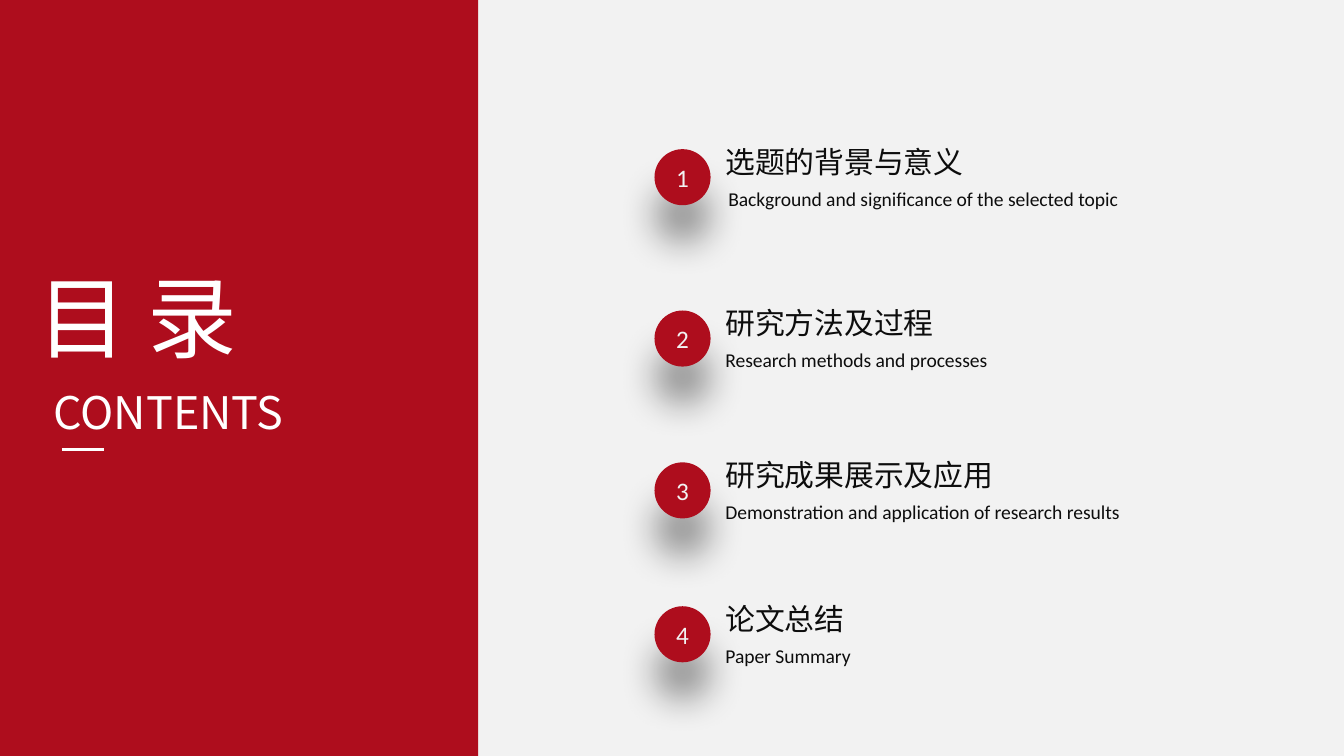
from dataclasses import dataclass

from lxml.etree import SubElement
from pptx import Presentation
from pptx.dml.color import RGBColor
from pptx.enum.shapes import MSO_CONNECTOR, MSO_SHAPE
from pptx.enum.text import MSO_ANCHOR as Anchor, MSO_AUTO_SIZE as Fit, PP_ALIGN as Align
from pptx.oxml import parse_xml
from pptx.oxml.ns import nsdecls, qn
from pptx.util import Cm, Pt


@dataclass(frozen=True)
class Theme:
    red: RGBColor = RGBColor.from_string("AE0D1D")
    pale: RGBColor = RGBColor.from_string("F2F2F2")
    white: RGBColor = RGBColor.from_string("FFFFFF")
    ink: RGBColor = RGBColor.from_string("0D0D0D")
    chinese: str = "Noto Sans CJK SC"
    latin: str = "Calibri"
    title: float = 48
    contents: float = 24
    topic: float = 16
    number: float = 13.5
    caption: float = 10.5


theme = Theme()


def write(box, text, *, size, font, color, align=Align.LEFT, anchor=Anchor.TOP,
          wrap=True, fit=Fit.SHAPE_TO_FIT_TEXT):
    frame = box.text_frame
    frame.auto_size = fit
    frame.word_wrap = wrap
    frame.vertical_anchor = anchor
    para = frame.paragraphs[0]
    para.alignment = align
    span = para.add_run()
    span.text = text
    span.font.size = Pt(size)
    span.font.color.rgb = color
    span.font.name = font
    SubElement(span.font._element, qn("a:ea"), typeface=font)


def fill_plain(shape, color):
    shape.shadow.inherit = False
    shape.fill.solid()
    shape.fill.fore_color.rgb = color
    shape.line.fill.background()


deck = Presentation()
deck.slide_width, deck.slide_height = Cm(25.4), Cm(14.29)
page = deck.slides.add_slide(deck.slide_layouts[5])
page.background.fill.solid()
page.background.fill.fore_color.rgb = theme.pale

# Red panel with the slide title
panel = page.shapes.add_shape(MSO_SHAPE.RECTANGLE, 0, 0, Cm(9.04), deck.slide_height)
fill_plain(panel, theme.red)

title = page.shapes.title
title.left, title.top, title.width, title.height = Cm(0.46), Cm(4.83), Cm(5.03), Cm(2.31)
write(title, "目 录", size=theme.title, font=theme.chinese, color=theme.white)
panel.element.addnext(title.element)

contents = page.shapes.add_textbox(Cm(0.76), Cm(7.14), Cm(5.38), Cm(1.27))
write(contents, "CONTENTS", size=theme.contents, font=theme.chinese, color=theme.white)

rule = page.shapes.add_connector(MSO_CONNECTOR.STRAIGHT, Cm(1.17), Cm(8.5), Cm(1.97), Cm(8.5))
rule.line.color.rgb = theme.white
rule.line.width = Pt(1.5)
SubElement(rule.element.spPr, qn("a:effectLst"))

# Numbered topics: top, topic, caption, caption width, caption alignment
topics = [
    (2.59, "选题的背景与意义", "Background and significance of the selected topic", 7.98, Align.CENTER),
    (5.64, "研究方法及过程", "Research methods and processes", 5.54, Align.LEFT),
    (8.51, "研究成果展示及应用", "Demonstration and application of research results", 8.08, Align.LEFT),
    (11.23, "论文总结", "Paper Summary", 2.9, Align.LEFT),
]
text_left = Cm(13.46)
for number, (top, topic, caption, caption_width, align) in enumerate(topics, 1):
    pair = page.shapes.add_group_shape().shapes
    topic_width = 0.56 + 0.565 * len(topic)
    heading = pair.add_textbox(text_left, Cm(top), Cm(topic_width), Cm(0.94))
    write(heading, topic, size=theme.topic, font=theme.chinese, color=theme.ink, wrap=False)
    subheading = pair.add_textbox(text_left, Cm(top + 0.81), Cm(caption_width), Cm(0.71))
    write(subheading, caption, size=theme.caption, font=theme.latin, color=theme.ink,
          align=align, wrap=False)

    badge = page.shapes.add_shape(MSO_SHAPE.OVAL, Cm(12.37), Cm(top + 0.23), Cm(1.06), Cm(1.06))
    fill_plain(badge, theme.red)
    effects = badge.element.spPr.find(qn("a:effectLst"))
    effects.append(parse_xml(
        f'<a:outerShdw {nsdecls("a")} blurRad="{Pt(20)}" dist="{Pt(20)}" dir="5400000" '
        'algn="ctr" rotWithShape="0"><a:srgbClr val="000000"><a:alpha val="40000"/>'
        '</a:srgbClr></a:outerShdw>'))
    write(badge, str(number), size=theme.number, font=theme.latin, color=theme.pale,
          align=Align.CENTER, anchor=Anchor.MIDDLE, fit=Fit.NONE)

deck.save("out.pptx")
